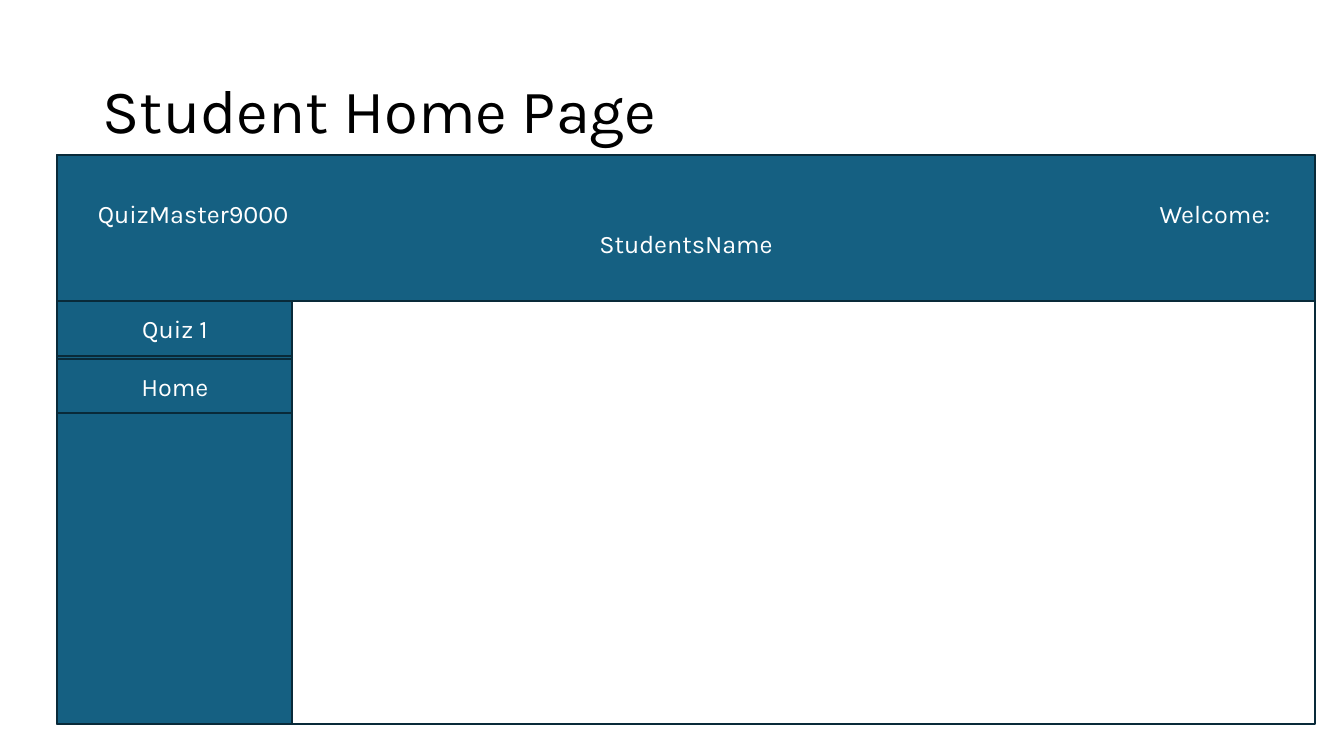
from dataclasses import dataclass

from lxml.etree import SubElement
from pptx import Presentation
from pptx.dml.color import RGBColor
from pptx.enum.shapes import MSO_SHAPE as Shape
from pptx.enum.text import MSO_ANCHOR as Anchor, PP_ALIGN as Align
from pptx.oxml.ns import qn
from pptx.util import Inches, Pt


@dataclass(frozen=True)
class Theme:
    font: str = "Karla"
    ink: str = "000000"
    light: str = "FFFFFF"
    fill: str = "156082"
    edge: str = "092A39"
    title: int = 44
    body: int = 18
    line: float = 1.5


THEME = Theme()

# Page frame, header and menu measures in inches
LEFT, TOP, WIDTH, HEIGHT = 0.57, 1.54, 12.47, 5.64
HEAD = 1.45
MENU = 2.33
ITEM, STEP = 0.54, 0.57
INSET = 0.4


def style(frame, size, color, align):
    """Format all text in a frame."""
    frame.word_wrap = True
    frame.vertical_anchor = Anchor.MIDDLE
    for para in frame.paragraphs:
        para.alignment = align
        for run in para.runs:
            run.font.name = THEME.font
            run.font.size = Pt(size)
            run.font.color.rgb = RGBColor.from_string(color)


def add_title(slide, text):
    box = slide.shapes.add_textbox(
        Inches(0.92), Inches(0.4), Inches(11.5), Inches(1.45))
    frame = box.text_frame
    frame.text = text
    style(frame, THEME.title, THEME.ink, Align.LEFT)
    frame.paragraphs[0].line_spacing = 0.9


def add_panel(slide, left, top, width, height, text="", filled=True):
    panel = slide.shapes.add_shape(
        Shape.RECTANGLE, Inches(left), Inches(top), Inches(width), Inches(height))
    panel.shadow.inherit = False
    if filled:
        panel.fill.solid()
        panel.fill.fore_color.rgb = RGBColor.from_string(THEME.fill)
    else:
        panel.fill.background()
    panel.line.color.rgb = RGBColor.from_string(THEME.edge)
    panel.line.width = Pt(THEME.line)
    if text:
        panel.text_frame.text = text
        style(panel.text_frame, THEME.body, THEME.light, Align.CENTER)
    return panel


def add_header(slide, brand, hello, user):
    """Brand at left, greeting at a right tab, user name centred below."""
    panel = add_panel(slide, LEFT, TOP, WIDTH, HEAD, f"{brand}\t{hello}\n{user}")
    frame = panel.text_frame
    frame.margin_left = frame.margin_right = Inches(INSET)
    first = frame.paragraphs[0]
    first.alignment = Align.LEFT
    tabs = SubElement(first._p.get_or_add_pPr(), qn("a:tabLst"))
    stop = Inches(WIDTH - 2 * INSET - 0.04)
    SubElement(tabs, qn("a:tab"), pos=str(stop), algn="r")


def add_menu(slide, items):
    top = TOP + HEAD
    add_panel(slide, LEFT, top, MENU, HEIGHT - HEAD)
    for row, text in enumerate(items):
        add_panel(slide, LEFT, top + row * STEP, MENU, ITEM, text)


def main():
    deck = Presentation()
    deck.slide_width, deck.slide_height = Inches(13.33), Inches(7.5)
    slide = deck.slides.add_slide(deck.slide_layouts[6])

    # Title and page frame
    add_title(slide, "Student Home Page")
    add_panel(slide, LEFT, TOP, WIDTH, HEIGHT, filled=False)

    # Header bar and side menu
    add_header(slide, "QuizMaster9000", "Welcome:", "StudentsName")
    add_menu(slide, ["Quiz 1", "Home"])

    deck.save("out.pptx")


if __name__ == "__main__":
    main()
